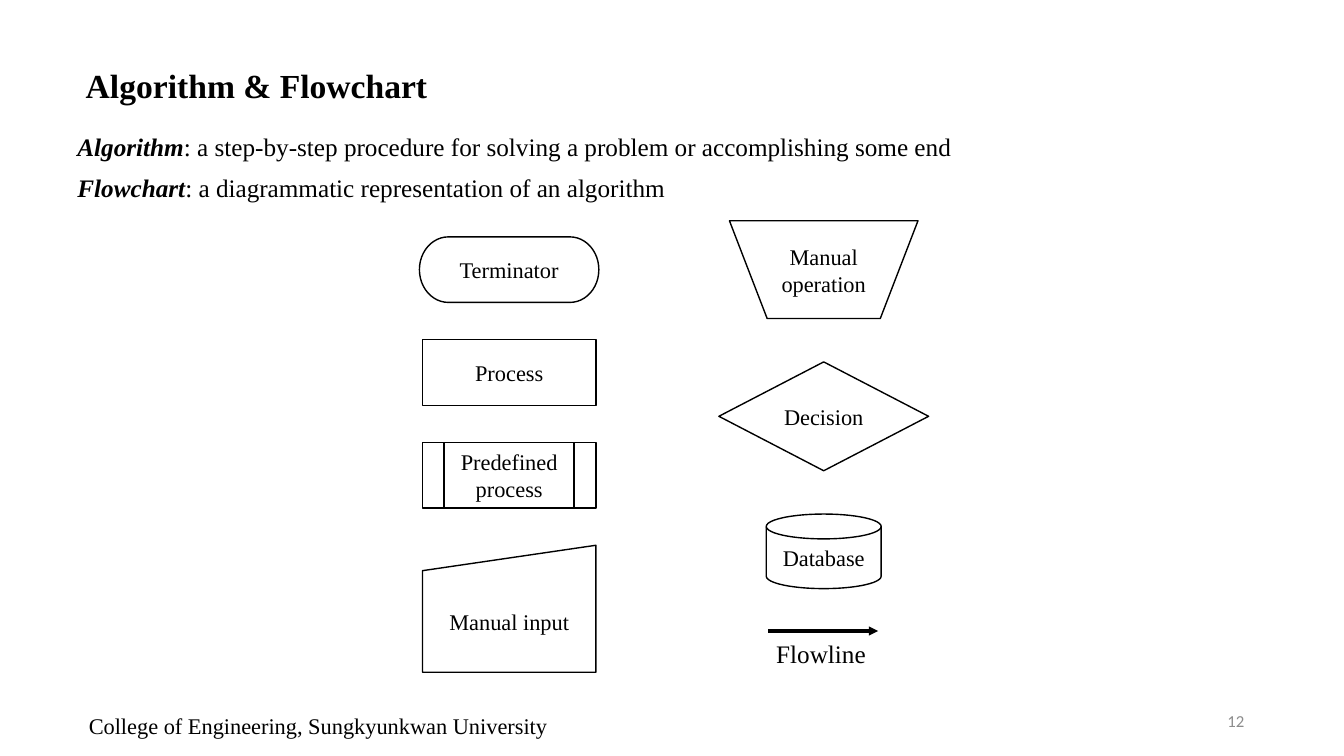
from pptx import Presentation
from pptx.dml.color import RGBColor
from pptx.enum.dml import MSO_LINE
from pptx.enum.shapes import MSO_CONNECTOR, MSO_SHAPE
from pptx.enum.text import MSO_ANCHOR, MSO_AUTO_SIZE, PP_ALIGN
from pptx.oxml.ns import qn
from pptx.util import Inches, Pt
from lxml import etree

LEFT, MID, RIGHT = PP_ALIGN.LEFT, PP_ALIGN.CENTER, PP_ALIGN.RIGHT
TOP, CENTER = MSO_ANCHOR.TOP, MSO_ANCHOR.MIDDLE
STRAIGHT, SOLID = MSO_CONNECTOR.STRAIGHT, MSO_LINE.SOLID
NO_FIT = MSO_AUTO_SIZE.NONE
SERIF, SANS = "Times New Roman", "Calibri"
COLORS = {
    "ink": RGBColor.from_string("000000"),
    "paper": RGBColor.from_string("FFFFFF"),
    "gray": RGBColor.from_string("8C8C8C"),
}


def write(shape, runs, size, align=LEFT, anchor=TOP, wrap=True, face=SERIF, color="ink"):
    """Fill a shape with one paragraph; runs are (text, bold, italic)."""
    frame = shape.text_frame
    frame.auto_size = NO_FIT
    frame.word_wrap = wrap
    frame.vertical_anchor = anchor
    para = frame.paragraphs[0]
    para.alignment = align
    for text, bold, italic in runs:
        run = para.add_run()
        run.text = text
        font = run.font
        font.name, font.size = face, Pt(size)
        font.bold, font.italic = bold, italic
        font.color.rgb = COLORS[color]


def add_box(left, top, width, height):
    return slide.shapes.add_textbox(
        Inches(left), Inches(top), Inches(width), Inches(height))


deck = Presentation()
deck.slide_width, deck.slide_height = Inches(13.33), Inches(7.5)
slide = deck.slides.add_slide(deck.slide_layouts[5])

# Title
title = slide.shapes.title
title.left, title.top = Inches(0.75), Inches(0.59)
title.width, title.height = Inches(3.62), Inches(0.5)
write(title, [("Algorithm & Flowchart", True, False)], 24, wrap=False)

# Definitions
terms = [
    ("Algorithm", ": a step-by-step procedure for solving a problem or accomplishing some end"),
    ("Flowchart", ": a diagrammatic representation of an algorithm"),
]
for row, (term, meaning) in enumerate(terms):
    box = add_box(0.67, 1.25 + 0.41 * row, 10.34, 0.4)
    write(box, [(term, True, True), (meaning, False, False)], 18)

# Symbols: each column has a centre, a top and an equal gap
columns = [
    (5.05, 2.35, 0.37, [
        ("Terminator", MSO_SHAPE.FLOWCHART_TERMINATOR, 1.78, 0.65),
        ("Process", MSO_SHAPE.FLOWCHART_PROCESS, 1.72, 0.65),
        ("Predefined process", MSO_SHAPE.FLOWCHART_PREDEFINED_PROCESS, 1.72, 0.65),
        ("Manual input", MSO_SHAPE.FLOWCHART_MANUAL_INPUT, 1.72, 1.26),
    ]),
    (8.17, 2.19, 0.43, [
        ("Manual operation", MSO_SHAPE.FLOWCHART_MANUAL_OPERATION, 1.87, 0.97),
        ("Decision", MSO_SHAPE.FLOWCHART_DECISION, 2.08, 1.08),
        ("Database", MSO_SHAPE.FLOWCHART_MAGNETIC_DISK, 1.14, 0.74),
    ]),
]
for center, top, gap, symbols in columns:
    for label, kind, width, height in symbols:
        symbol = slide.shapes.add_shape(
            kind, Inches(center - width / 2), Inches(top), Inches(width), Inches(height))
        symbol.shadow.inherit = False
        symbol.fill.solid()
        symbol.fill.fore_color.rgb = COLORS["paper"]
        symbol.line.color.rgb = COLORS["ink"]
        symbol.line.width = Pt(1)
        write(symbol, [(label, False, False)], 16, MID, CENTER)
        top += height + gap

# Flowline
arrow = slide.shapes.add_connector(
    STRAIGHT, Inches(7.62), Inches(6.26), Inches(8.71), Inches(6.26))
arrow.line.color.rgb = COLORS["ink"]
arrow.line.width = Pt(2.25)
arrow.line.dash_style = SOLID
etree.SubElement(arrow.line._get_or_add_ln(), qn("a:tailEnd"), type="triangle")
etree.SubElement(arrow._element.spPr, qn("a:effectLst"))
write(add_box(7.6, 6.28, 1.14, 0.4), [("Flowline", False, False)], 18)

# Footer
write(add_box(0.75, 7.02, 4.81, 0.37),
      [("College of Engineering, Sungkyunkwan University", False, False)],
      16, MID, wrap=False)
write(add_box(9.44, 6.95, 3, 0.4), [("12", False, False)],
      12, RIGHT, CENTER, face=SANS, color="gray")

deck.save("out.pptx")
